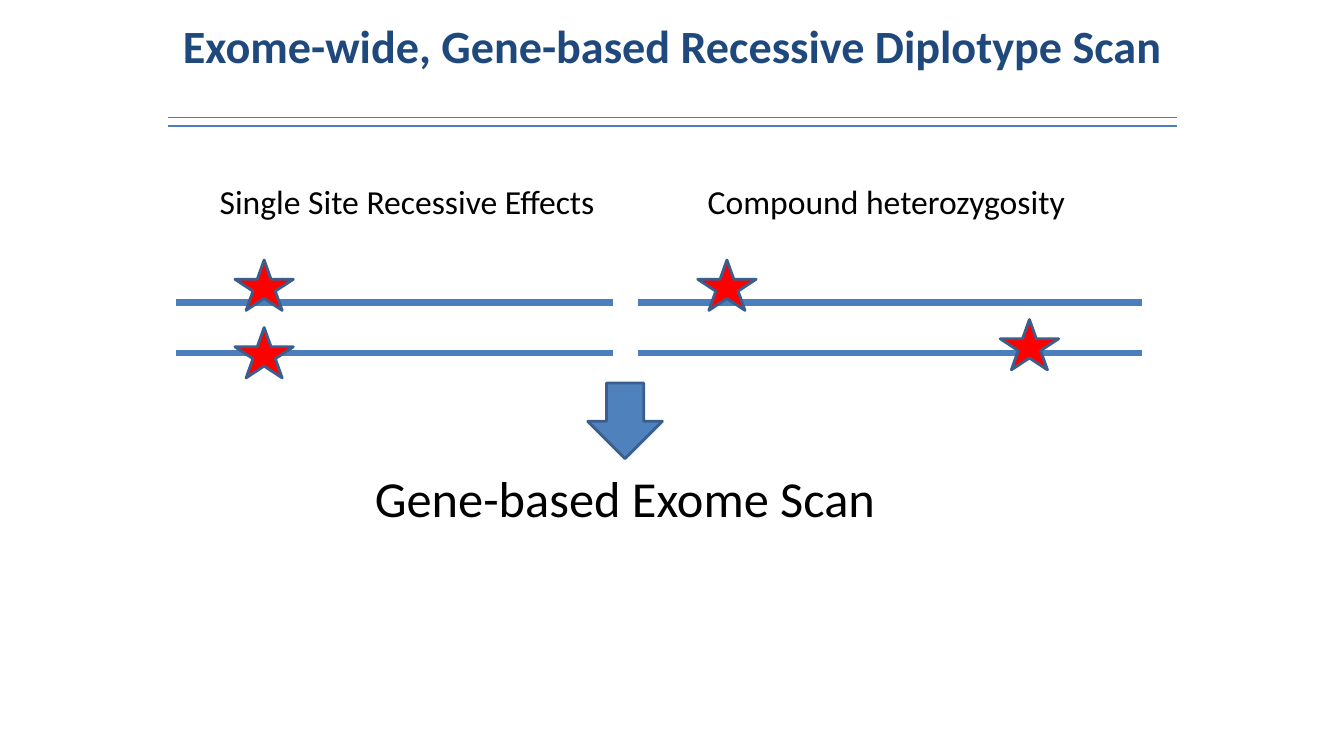
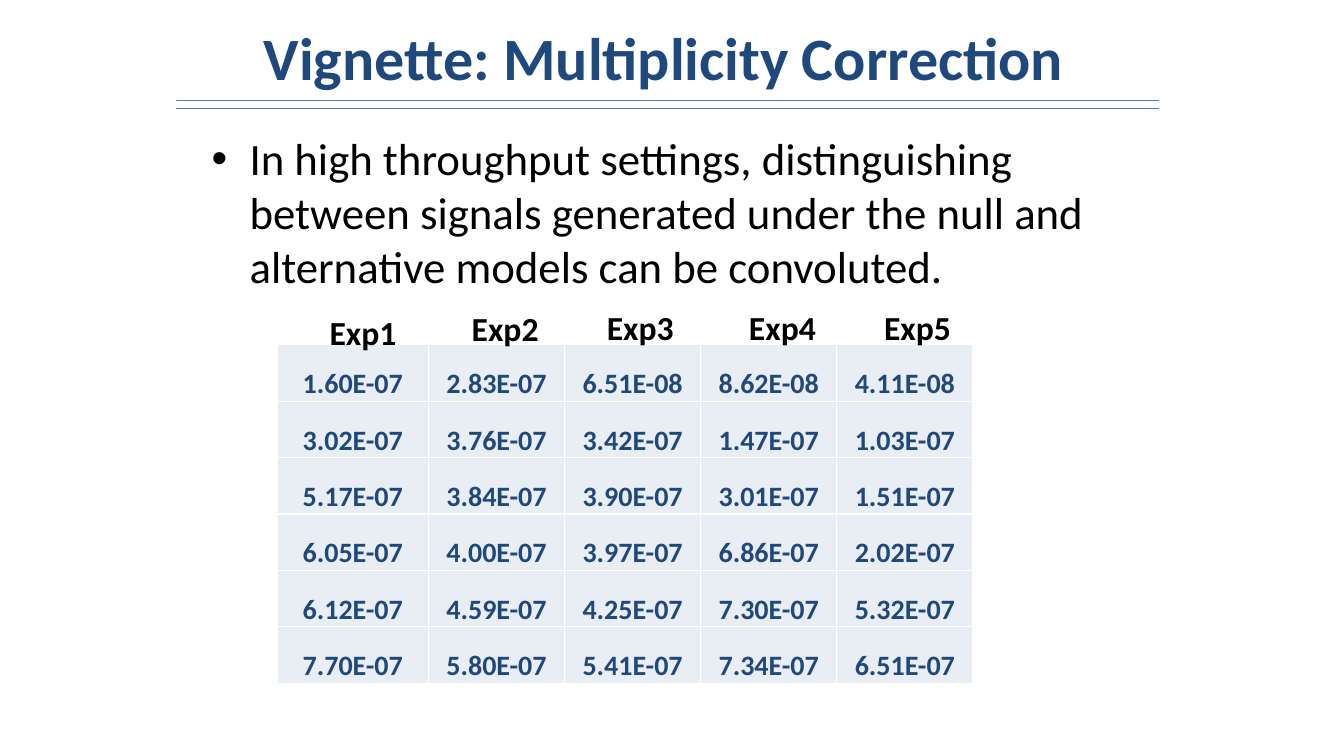
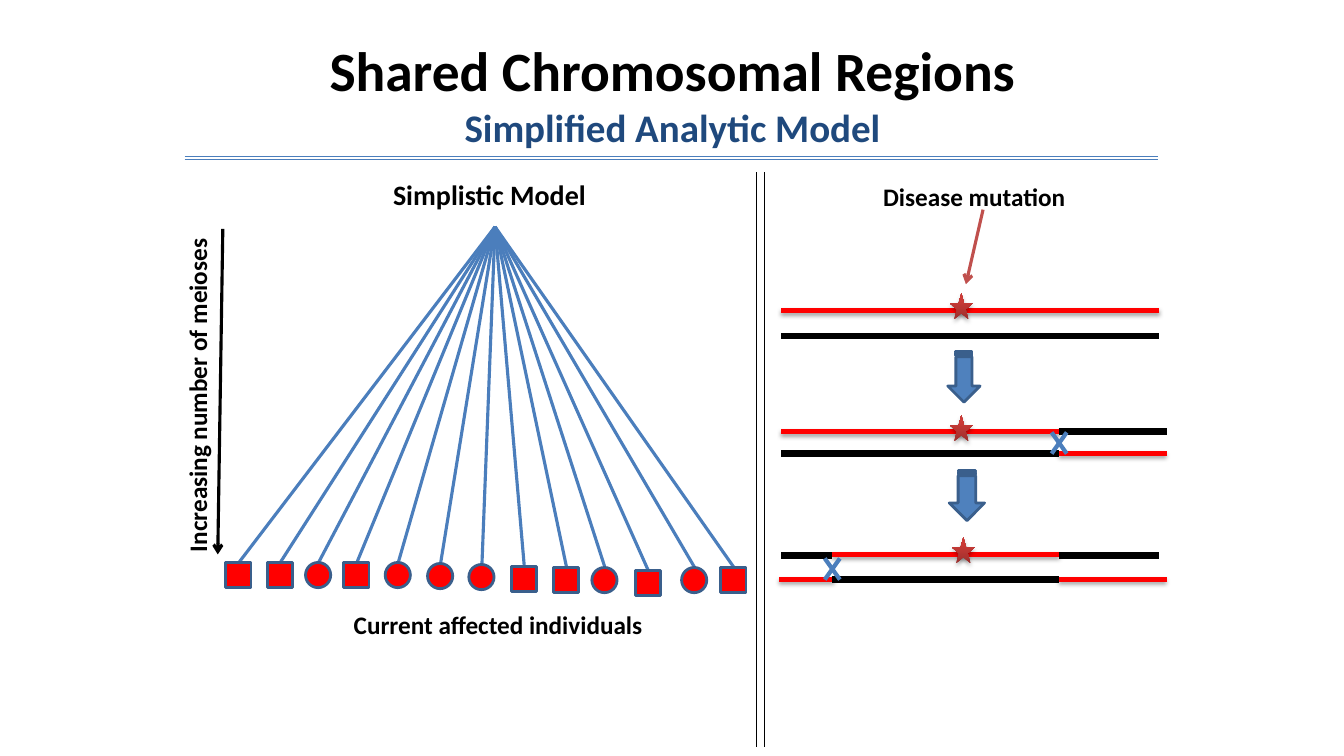
from lxml.etree import SubElement
from pptx import Presentation
from pptx.dml.color import RGBColor
from pptx.enum.shapes import MSO_CONNECTOR, MSO_SHAPE
from pptx.enum.text import MSO_ANCHOR, MSO_AUTO_SIZE, PP_ALIGN
from pptx.oxml.ns import qn
from pptx.util import Pt

PX = 9144  # EMU per px, 100 px to the inch
FONT = "Calibri"
NAVY, BLUE, RULE, EDGE = "1F497D", "4F81BD", "4B7EBC", "3A5F8C"
RED, BLACK, WHITE, PALE = "FF0000", "000000", "FFFFFF", "E9EDF4"
BRICK, DARK_BRICK, ROSE = "CE3B37", "9C2F2D", "C0504D"


def rgb(value):
    return RGBColor.from_string(value)


def emu(*lengths):
    return [round(n * PX) for n in lengths]


def write(p, words, size=18, color=BLACK, bold=False, align=PP_ALIGN.LEFT):
    """Add one formatted run to a paragraph."""
    p.alignment = align
    r = p.add_run()
    r.text = words
    r.font.name, r.font.size, r.font.bold = FONT, Pt(size), bold
    r.font.color.rgb = rgb(color)


def add_shadow(effects, alpha, dist):
    """Put a soft downward shadow into an effect list."""
    sh = SubElement(effects, qn("a:outerShdw"), blurRad=str(Pt(3.1)), dist=str(Pt(dist)),
                    dir="5400000", rotWithShape="0")
    clr = SubElement(sh, qn("a:srgbClr"), val=BLACK)
    SubElement(clr, qn("a:alpha"), val=str(alpha * 1000))


class Deck:
    """Holds the presentation, its style and the current slide."""

    def __init__(self):
        self.prs = Presentation()
        self.prs.slide_width, self.prs.slide_height = emu(1333, 750)
        self.s = None

    def new_slide(self, layout):
        self.s = self.prs.slides.add_slide(self.prs.slide_layouts[layout])

    def place(self, sp, x, y, w, h):
        sp.left, sp.top, sp.width, sp.height = emu(x, y, w, h)
        sp.text_frame.auto_size = MSO_AUTO_SIZE.NONE
        sp.text_frame.word_wrap = True
        return sp.text_frame

    def title(self, x, y, w, h, *lines, anchor=MSO_ANCHOR.MIDDLE):
        """Fill the title with (words, size, color) lines."""
        tf = self.place(self.s.shapes.title, x, y, w, h)
        tf.vertical_anchor = anchor
        p = tf.paragraphs[0]
        for i, (words, size, color) in enumerate(lines):
            if i:
                p.add_line_break()
            write(p, words, size=size, color=color, bold=True, align=PP_ALIGN.CENTER)

    def body(self, x, y, w, h, words, size):
        p = self.place(self.s.placeholders[1], x, y, w, h).paragraphs[0]
        p.space_before = Pt(0)
        write(p, words, size=size)

    def text(self, x, y, w, h, words, rotation=0, **style):
        sp = self.s.shapes.add_textbox(*emu(x, y, w, h))
        sp.rotation = rotation
        tf = sp.text_frame
        tf.word_wrap = False
        tf.auto_size = MSO_AUTO_SIZE.SHAPE_TO_FIT_TEXT
        write(tf.paragraphs[0], words, **style)

    def line(self, x1, y1, x2, y2, color=RULE, width=0.75, arrow=False, shadow=False):
        ln = self.s.shapes.add_connector(MSO_CONNECTOR.STRAIGHT, *emu(x1, y1, x2, y2))
        ln.line.color.rgb = rgb(color)
        ln.line.width = Pt(width)
        if arrow:
            SubElement(ln.line._get_or_add_ln(), qn("a:tailEnd"), type="arrow")
        effects = SubElement(ln._element.spPr, qn("a:effectLst"))
        if shadow:
            add_shadow(effects, 38, 1.6)

    def double_rule(self, x1, x2, y, gap=8):
        for top in (y, y + gap):
            self.line(x1, top, x2, top)

    def shape(self, kind, x, y, w, h, fill=RED, rotation=0):
        sp = self.s.shapes.add_shape(kind, *emu(x, y, w, h))
        sp.rotation = rotation
        sp.shadow.inherit = False
        sp.fill.solid()
        sp.fill.fore_color.rgb = rgb(fill)
        sp.line.color.rgb = rgb(EDGE)
        sp.line.width = Pt(2)
        return sp

    def mutation(self, x, y):
        """Draw a small shaded star with no outline."""
        sp = self.shape(MSO_SHAPE.STAR_5_POINT, x, y, 23, 26)
        sp.line.fill.background()
        sp.fill.gradient()
        sp.fill.gradient_angle = 90
        stops = zip(sp.fill.gradient_stops, (DARK_BRICK, BRICK), (0, 0.8))
        for stop, color, position in stops:
            stop.color.rgb = rgb(color)
            stop.position = position
        add_shadow(sp._element.spPr.find(qn("a:effectLst")), 35, 1.8)

    def strand(self, x1, x2, y, mutated):
        if mutated:
            self.line(x1, y, x2, y, RED, 3, shadow=True)
        else:
            self.line(x1, y, x2, y, BLACK, 4.5)

    def crossover(self, x, y, w=15, h=21):
        self.line(x, y + h, x + w, y, width=3)
        self.line(x + w, y + h, x, y, width=3)

    def table(self, x, y, widths, row_height, rows):
        frame = self.s.shapes.add_table(len(rows), len(widths),
                                        *emu(x, y, sum(widths), row_height * len(rows)))
        tbl = frame.table
        tbl.first_row = tbl.horz_banding = False
        for col, width in zip(tbl.columns, widths):
            col.width, = emu(width)
        for row, values in zip(tbl.rows, rows):
            row.height, = emu(row_height)
            for cell, value in zip(row.cells, values):
                self.cell(cell, value)

    def cell(self, cell, value):
        cell.margin_left, cell.margin_right, cell.margin_top, cell.margin_bottom = emu(1, 1, 1, 0)
        cell.vertical_anchor = MSO_ANCHOR.BOTTOM
        tc_pr = cell._tc.get_or_add_tcPr()
        for side in ("a:lnL", "a:lnR", "a:lnT", "a:lnB"):
            ln = SubElement(tc_pr, qn(side), w=str(Pt(1)))
            SubElement(SubElement(ln, qn("a:solidFill")), qn("a:srgbClr"), val=WHITE)
        cell.fill.solid()
        cell.fill.fore_color.rgb = rgb(PALE)
        write(cell.text_frame.paragraphs[0], value, size=20, color=NAVY, bold=True,
              align=PP_ALIGN.CENTER)


def diplotype_slide(d):
    d.new_slide(5)
    d.title(167, 12, 1000, 116, ("Exome-wide, Gene-based Recessive Diplotype Scan", 33, NAVY),
            anchor=MSO_ANCHOR.TOP)
    d.double_rule(167, 1167, 117)
    d.text(692, 175, 378, 50, "Compound heterozygosity", size=24)
    d.text(208, 175, 396, 50, "Single Site Recessive Effects", size=24)
    for x1, x2 in ((633, 1133), (175, 608)):
        for y in (300, 350):
            d.line(x1, y, x2, y, width=4.5)
    for x, y in ((692, 258), (992, 317), (233, 258), (233, 325)):
        d.shape(MSO_SHAPE.STAR_5_POINT, x, y, 58, 50)
    d.shape(MSO_SHAPE.DOWN_ARROW, 583, 380, 74, 75, fill=BLUE)
    d.text(362, 458, 521, 71, "Gene-based Exome Scan", size=36)


def multiplicity_slide(d):
    d.new_slide(1)
    d.title(233, 17, 850, 78, ("Vignette: Multiplicity Correction", 42.9, NAVY))
    d.body(200, 125, 917, 167, "In high throughput settings, distinguishing between signals "
           "generated under the null and alternative models can be convoluted.", 32)
    d.double_rule(175, 1150, 100)
    d.table(275, 342, [150] + [135] * 4, 56, [
        ("1.60E-07", "2.83E-07", "6.51E-08", "8.62E-08", "4.11E-08"),
        ("3.02E-07", "3.76E-07", "3.42E-07", "1.47E-07", "1.03E-07"),
        ("5.17E-07", "3.84E-07", "3.90E-07", "3.01E-07", "1.51E-07"),
        ("6.05E-07", "4.00E-07", "3.97E-07", "6.86E-07", "2.02E-07"),
        ("6.12E-07", "4.59E-07", "4.25E-07", "7.30E-07", "5.32E-07"),
        ("7.70E-07", "5.80E-07", "5.41E-07", "7.34E-07", "6.51E-07"),
    ])
    headings = ((317, 305), (458, 301), (592, 300), (733, 300), (867, 300))
    for i, (x, y) in enumerate(headings, 1):
        d.text(x, y, 87, 50, f"Exp{i}", size=24, bold=True)


def shared_regions_slide(d):
    d.new_slide(5)
    d.title(67, 30, 1200, 125, ("Shared Chromosomal Regions", 39.6, BLACK),
            ("Simplified Analytic Model", 27.9, NAVY))
    d.double_rule(183, 1149, 155, gap=3)
    for x in (750, 758):
        d.line(x, 171, x, 741, BLACK)

    box, circle = MSO_SHAPE.RECTANGLE, MSO_SHAPE.OVAL
    individuals = (
        (box, 224, 558), (box, 265, 558), (circle, 303, 558), (box, 341, 558),
        (circle, 382, 558), (circle, 424, 559), (circle, 465, 560), (box, 507, 562),
        (box, 549, 563), (circle, 587, 563), (box, 630, 566), (circle, 676, 563),
        (box, 715, 563),
    )
    for kind, x, y in individuals:
        d.line(491, 225, x + 13, y, width=2.25)
        d.shape(kind, x, y, 25, 25)
    d.text(380, 171, 213, 44, "Simplistic Model", size=20, bold=True)
    d.text(341, 600, 309, 40, "Current affected individuals", bold=True)
    d.text(29, 371, 333, 40, "Increasing number of meioses", rotation=270, bold=True)
    d.line(221, 227, 216, 550, BLACK, 2.25, arrow=True)

    d.text(866, 175, 202, 40, "Disease mutation", bold=True)
    d.line(975, 208, 958, 282, ROSE, 2.25, arrow=True)
    strands = (
        (775, 1150, 308, True), (775, 1150, 333, False),
        (775, 1050, 428, True), (1050, 1157, 428, False),
        (775, 1050, 450, False), (1050, 1157, 450, True),
        (775, 825, 551, False), (825, 1050, 550, True), (1050, 1150, 551, False),
        (773, 827, 575, True), (825, 1050, 575, False), (1050, 1157, 575, True),
    )
    for strand in strands:
        d.strand(*strand)
    for x, y in ((942, 291), (942, 412), (944, 533)):
        d.mutation(x, y)
    for x, y, h in ((931, 358, 32), (934, 474, 35)):
        d.shape(MSO_SHAPE.STRIPED_RIGHT_ARROW, x, y, 50, h, fill=BLUE, rotation=90)
    d.crossover(1043, 429)
    d.crossover(818, 554)


def main():
    d = Deck()
    diplotype_slide(d)
    multiplicity_slide(d)
    shared_regions_slide(d)
    d.prs.save("out.pptx")


if __name__ == "__main__":
    main()
